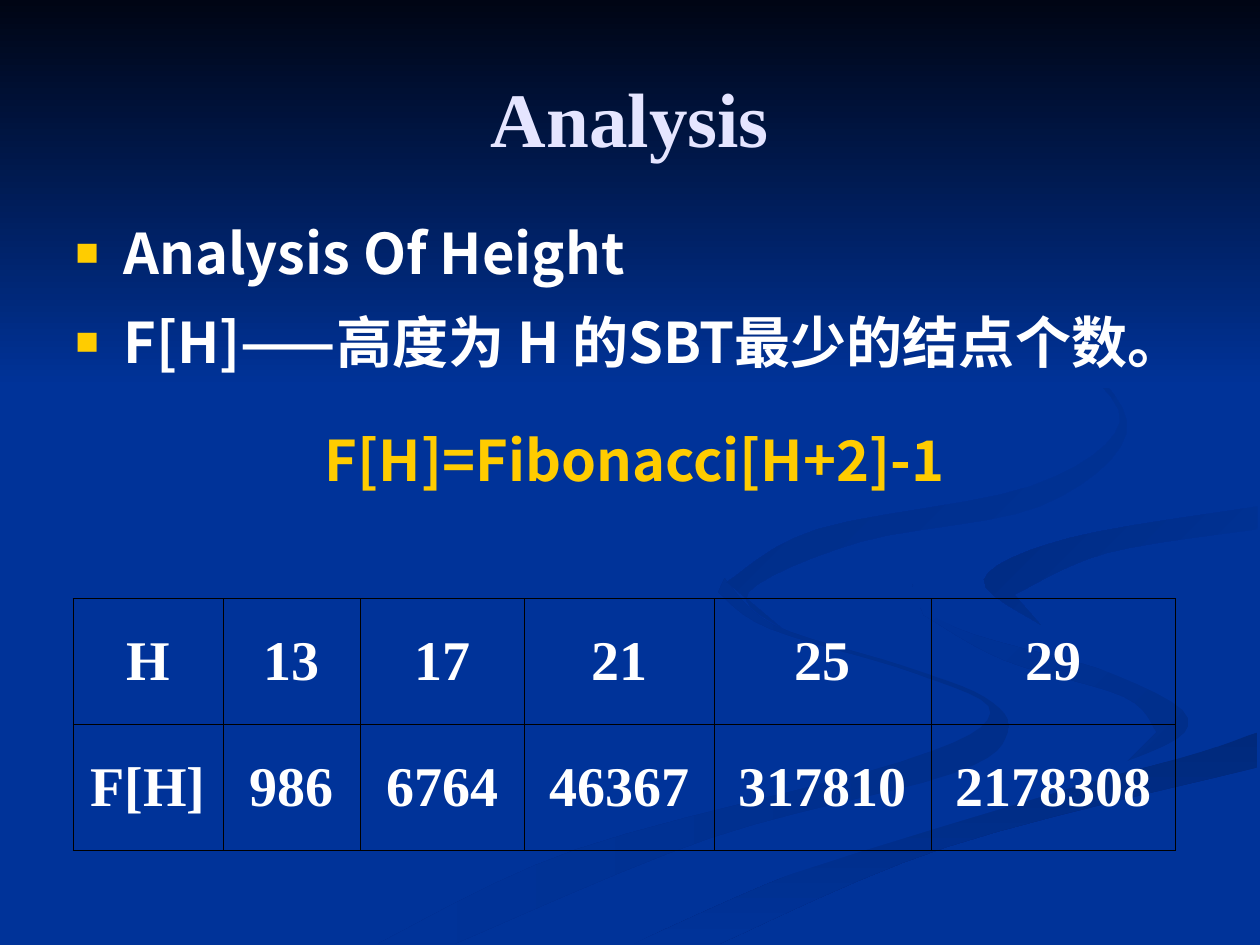
from lxml import etree
from pptx import Presentation
from pptx import util as u
from pptx.dml import color
from pptx.enum import shapes, text
from pptx.oxml import ns

COLORS = {"blue": "003399", "night": "000514", "lavender": "E5E5FF",
          "white": "FFFFFF", "gold": "FFCC00", "black": "000000",
          "shade": "002E8A", "deep": "00297C", "dusk": "002B81"}
SERIF, SANS = "Times New Roman", "Noto Sans CJK SC"


def add_run(paragraph, words, size, font, hex_color):
    run = paragraph.add_run()
    run.text = words
    run.font.size = u.Pt(size)
    run.font.bold = True
    run.font.name = font
    run.font.color.rgb = color.RGBColor.from_string(hex_color)
    etree.SubElement(run.font._element, ns.qn("a:ea"), typeface=font)


def paint(shape, start, end, angle):
    shape.shadow.inherit = False
    shape.line.fill.background()
    shape.fill.gradient()
    shape.fill.gradient_angle = (360 - angle) % 360
    for stop, name in zip(shape.fill.gradient_stops, (start, end)):
        stop.color.rgb = color.RGBColor.from_string(COLORS[name])


prs = Presentation()
prs.slide_width, prs.slide_height = u.Inches(10), u.Inches(7.5)
slide = prs.slides.add_slide(prs.slide_layouts[5])
slide.background.fill.solid()
slide.background.fill.fore_color.rgb = color.RGBColor.from_string(COLORS["blue"])

ribbons = [
    ("shade", "blue", 180,
     [(5.75, 4.59), (6.14, 4.96), (7.15, 5.28), (7.81, 5.53), (8, 5.81), (7.56, 6.14),
      (5.64, 6.65), (3.61, 7.49)],
     [(3, 7.49), (4.58, 6.74), (7.14, 6.05), (7.86, 5.66), (7.28, 5.35), (6.11, 4.99),
      (5.7, 4.7)]),
    ("shade", "blue", 225,
     [(7.24, 4.64), (7.58, 4.98), (8.7, 5.3), (9.3, 5.53), (9.41, 5.81), (8.94, 6.05)],
     [(9.18, 5.81), (8.92, 5.53), (7.97, 5.24), (7.33, 4.88)]),
    ("deep", "blue", 90,
     [(5.03, 7.49), (6.3, 6.93), (7.64, 6.47), (9.36, 6.02), (9.98, 5.81)],
     [(9.98, 6.09), (7.52, 6.72), (5.71, 7.49)]),
    ("blue", "blue", 0,
     [(9.99, 3.87), (8.08, 4.17), (7.25, 4.64), (7.59, 4.98), (8.71, 5.3), (9.43, 5.7),
      (8.92, 6.05), (7.04, 6.55), (4.77, 7.49)],
     [(5.03, 7.49), (6.3, 6.93), (9.99, 5.81)],
     [(9.99, 5.38), (8.32, 4.98), (7.81, 4.63), (8.5, 4.27), (9.99, 4.02)]),
    ("blue", "dusk", 225,
     [(9.98, 4.02), (8.49, 4.27), (7.81, 4.6), (8.26, 4.96)],
     [(8.05, 4.72), (8.78, 4.39), (9.98, 4.2)]),
    ("blue", "dusk", 225,
     [(7.62, 2.33), (8.54, 2.83), (8.94, 3.44), (8.25, 4.02), (6.83, 4.3), (5.94, 4.7),
      (6.22, 5)],
     [(5.77, 4.62), (6.49, 4.2), (8.18, 3.86), (8.89, 3.35), (8.46, 2.79)]),
]
for start, end, angle, *edges in ribbons:
    curve = []
    for edge in edges:
        padded = [edge[0], *edge, edge[-1]]
        for stretch in zip(padded, padded[1:], padded[2:], padded[3:]):
            for step in range(6):
                t = step / 6
                curve.append([u.Inches(b + t * (c - a) / 2
                                       + t ** 2 * (2 * a - 5 * b + 4 * c - d) / 2
                                       + t ** 3 * (3 * b - a - 3 * c + d) / 2)
                              for a, b, c, d in zip(*stretch)])
        curve.append([u.Inches(value) for value in edge[-1]])
    builder = slide.shapes.build_freeform(*curve[0])
    builder.add_line_segments(curve[1:], close=True)
    paint(builder.convert_to_shape(), start, end, angle)

sky = slide.shapes.add_shape(shapes.MSO_SHAPE.RECTANGLE, 0, 0, u.Inches(10), u.Inches(3.08))
paint(sky, "night", "blue", 90)

title = slide.shapes.title
slide.shapes._spTree.append(title._element)
title.left, title.top = u.Inches(0.5), u.Inches(0.3)
title.width, title.height = u.Inches(9), u.Inches(1.25)
title.text_frame.vertical_anchor = text.MSO_ANCHOR.MIDDLE
heading = title.text_frame.paragraphs[0]
heading.alignment = text.PP_ALIGN.CENTER
add_run(heading, "Analysis", 44, SERIF, COLORS["lavender"])

body = slide.shapes.add_textbox(u.Inches(0.5), u.Inches(1.77), u.Inches(9.08), u.Inches(2.95))
body.text_frame.word_wrap = True
points = [("Analysis Of Height", 0, True),
          ("F[H]——高度为 H 的SBT最少的结点个数。", 18, True),
          ("F[H]=Fibonacci[H+2]-1", 35, False)]
for i, (words, gap, bulleted) in enumerate(points):
    point = body.text_frame.add_paragraph() if i else body.text_frame.paragraphs[0]
    if bulleted:
        props = point._p.get_or_add_pPr()
        props.set("marL", str(u.Inches(0.38)))
        props.set("indent", str(u.Inches(-0.38)))
        tint = etree.SubElement(props, ns.qn("a:buClr"))
        etree.SubElement(tint, ns.qn("a:srgbClr"), val=COLORS["gold"])
        etree.SubElement(props, ns.qn("a:buSzPct"), val="70000")
        etree.SubElement(props, ns.qn("a:buFont"), typeface=SERIF)
        etree.SubElement(props, ns.qn("a:buChar"), char="■")
    else:
        point.alignment = text.PP_ALIGN.CENTER
    point.line_spacing = 0.85
    point.space_before = u.Pt(gap)
    add_run(point, words, 32, SANS, COLORS["white" if bulleted else "gold"])

rows = [["H", "13", "17", "21", "25", "29"],
        ["F[H]", "986", "6764", "46367", "317810", "2178308"]]
widths = [1.19, 1.09, 1.3, 1.51, 1.72, 1.94]
nodes = slide.shapes.add_table(len(rows), len(widths), u.Inches(0.58), u.Inches(4.75),
                               u.Inches(8.75), u.Inches(2)).table
nodes.first_row = nodes.horz_banding = False
for column, width in zip(nodes.columns, widths):
    column.width = u.Inches(width)
for r, row in enumerate(rows):
    for c, value in enumerate(row):
        cell = nodes.cell(r, c)
        cell.vertical_anchor = text.MSO_ANCHOR.MIDDLE
        for side in ("lnL", "lnR", "lnT", "lnB"):
            border = etree.SubElement(cell._tc.get_or_add_tcPr(), ns.qn("a:" + side),
                                      w=str(u.Pt(0.45)))
            ink = etree.SubElement(border, ns.qn("a:solidFill"))
            etree.SubElement(ink, ns.qn("a:srgbClr"), val=COLORS["black"])
        cell.fill.background()
        entry = cell.text_frame.paragraphs[0]
        entry.alignment = text.PP_ALIGN.CENTER
        add_run(entry, value, 32, SERIF, COLORS["white"])

prs.save("out.pptx")
